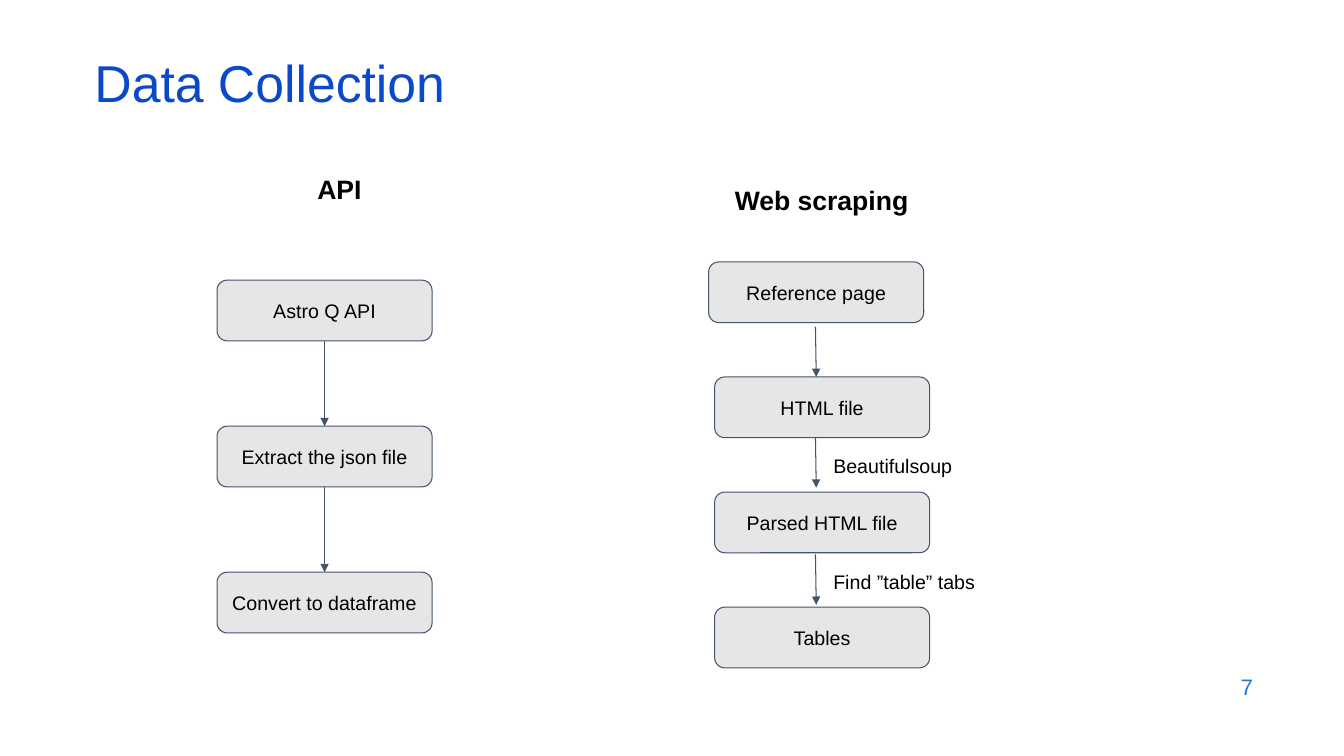
from lxml import etree
from pptx import Presentation
from pptx.dml.color import RGBColor
from pptx.enum.shapes import MSO_CONNECTOR, MSO_SHAPE
from pptx.enum.text import MSO_ANCHOR, MSO_AUTO_SIZE, PP_ALIGN
from pptx.oxml.ns import qn
from pptx.util import Cm, Pt

LEFT, CENTER, RIGHT = PP_ALIGN.LEFT, PP_ALIGN.CENTER, PP_ALIGN.RIGHT
TOP, MIDDLE = MSO_ANCHOR.TOP, MSO_ANCHOR.MIDDLE
COLORS = {"title": "0B49CB", "number": "1C7DDB", "box": "E7E6E6",
          "line": "44546A", "text": "000000"}
BOX_W, BOX_H = 5.42, 1.53


def write(sp, text, size, color="text", align=LEFT, anchor=TOP, bold=False, inset=0.25):
    """Fill a shape with one formatted paragraph."""
    tf = sp.text_frame
    tf.text = text
    tf.word_wrap = True
    tf.auto_size = MSO_AUTO_SIZE.NONE
    tf.vertical_anchor = anchor
    tf.margin_left = tf.margin_right = Cm(0.25)
    tf.margin_top = tf.margin_bottom = Cm(inset)
    p = tf.paragraphs[0]
    p.alignment = align
    font = p.runs[0].font
    font.name, font.size, font.bold = "Arial", Pt(size), bold
    font.color.rgb = RGBColor.from_string(COLORS[color])


def add_arrow(x1, y1, x2, y2):
    line = s.shapes.add_connector(MSO_CONNECTOR.STRAIGHT, Cm(x1), Cm(y1), Cm(x2), Cm(y2))
    line.line.color.rgb = RGBColor.from_string(COLORS["line"])
    line.line.width = Pt(0.75)
    etree.SubElement(line.line._get_or_add_ln(), qn("a:tailEnd"), type="triangle")
    etree.SubElement(line._element.spPr, qn("a:effectLst"))


prs = Presentation()
prs.slide_width, prs.slide_height = Cm(33.87), Cm(19.05)
s = prs.slides.add_slide(prs.slide_layouts[5])

# Title and slide number
title = s.shapes.title
title.left, title.top, title.width, title.height = Cm(2.13), Cm(1.5), Cm(29.21), Cm(1.52)
write(title, "Data Collection", 37, "title", anchor=MIDDLE, inset=0.13)
title.text_frame.paragraphs[0].line_spacing = 0.7
number = s.shapes.add_textbox(Cm(24.21), Cm(16.74), Cm(7.62), Cm(1.12))
write(number, "7", 16, "number", RIGHT, MIDDLE, inset=0.13)

# Column headings
for text, x, y in [("API", 5.33, 4.11), ("Web scraping", 17.48, 4.39)]:
    heading = s.shapes.add_textbox(Cm(x), Cm(y), Cm(6.45), Cm(1.52))
    write(heading, text, 19, align=CENTER, bold=True)

# Steps: left edges, first top, pitch, texts
columns = [
    ([5.47] * 3, 7.06, 3.68,
     ["Astro Q API", "Extract the json file", "Convert to dataframe"]),
    ([17.86] + [18.01] * 3, 6.6, 2.9,
     ["Reference page", "HTML file", "Parsed HTML file", "Tables"]),
]
for lefts, top, pitch, texts in columns:
    for i, (x, text) in enumerate(zip(lefts, texts)):
        box = s.shapes.add_shape(MSO_SHAPE.ROUNDED_RECTANGLE, Cm(x), Cm(top + i * pitch),
                                 Cm(BOX_W), Cm(BOX_H))
        box.shadow.inherit = False
        box.fill.solid()
        box.fill.fore_color.rgb = RGBColor.from_string(COLORS["box"])
        box.line.color.rgb = RGBColor.from_string(COLORS["line"])
        box.line.width = Pt(0.75)
        write(box, text, 14, align=CENTER, anchor=MIDDLE)

# API arrows join box to box
lefts, top, pitch, texts = columns[0]
middle = lefts[0] + BOX_W / 2
for i in range(len(texts) - 1):
    add_arrow(middle, top + i * pitch + BOX_H, middle, top + (i + 1) * pitch)

# Web scraping arrows have one length
for y in (8.23, 11.02, 13.97):
    add_arrow(20.55, y, 20.57, y + 1.27)

for text, y in [("Beautifulsoup", 11.2), ("Find ”table” tabs", 14.12)]:
    label = s.shapes.add_textbox(Cm(20.75), Cm(y), Cm(5.97), Cm(0.61))
    write(label, text, 14)

prs.save("out.pptx")
